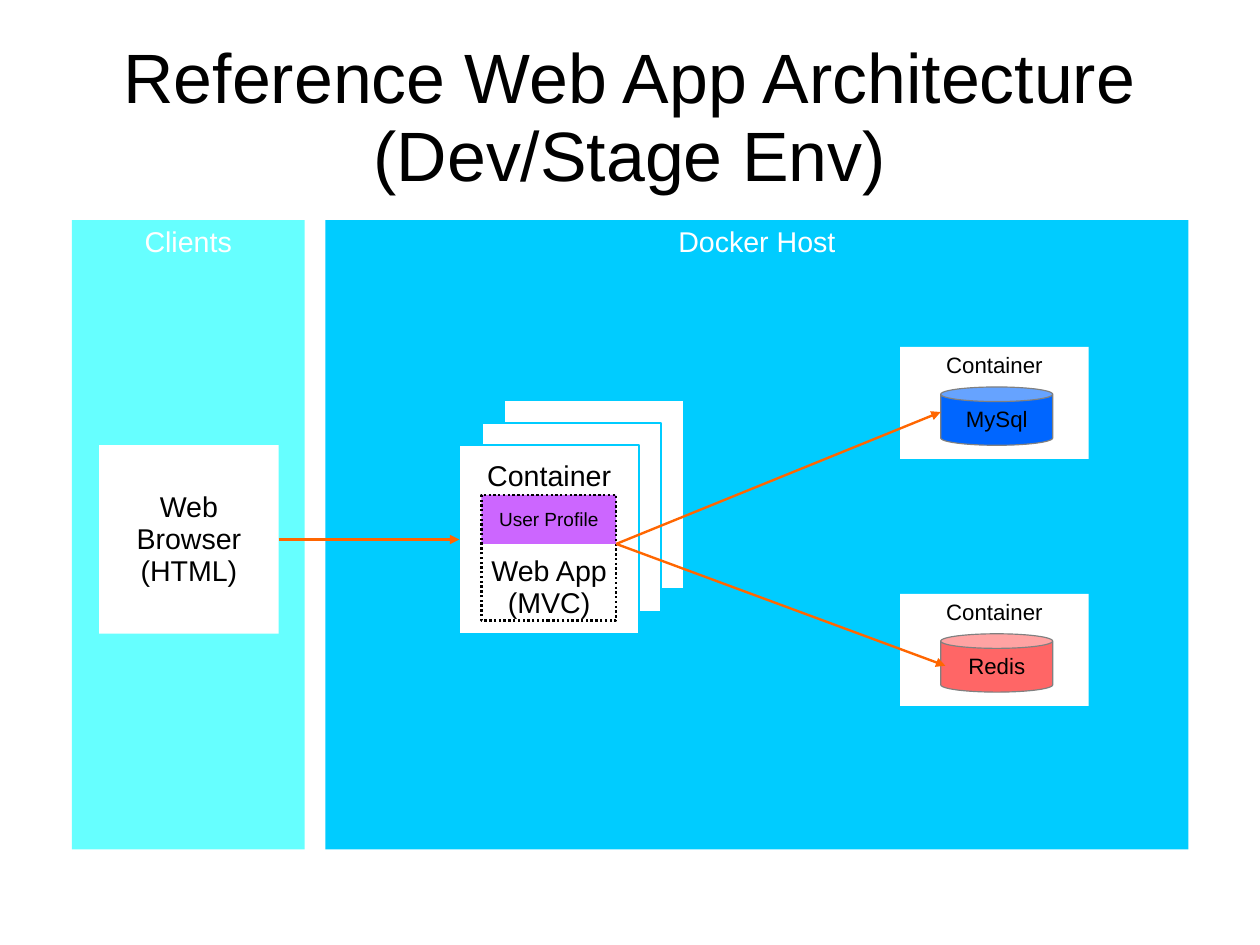
from lxml import etree
from pptx import Presentation
from pptx.dml.color import RGBColor
from pptx.enum.dml import MSO_LINE
from pptx.enum.shapes import MSO_CONNECTOR, MSO_SHAPE
from pptx.enum.text import MSO_ANCHOR, PP_ALIGN
from pptx.oxml.ns import qn
from pptx.util import Cm, Inches, Pt

RECT, CAN = MSO_SHAPE.RECTANGLE, MSO_SHAPE.CAN
TOP, MIDDLE = MSO_ANCHOR.TOP, MSO_ANCHOR.MIDDLE
CENTER = PP_ALIGN.CENTER
DOTTED = MSO_LINE.ROUND_DOT
STRAIGHT = MSO_CONNECTOR.STRAIGHT
RIGHT_SIDE, LEFT_SIDE = 3, 1

WHITE = RGBColor(0xFF, 0xFF, 0xFF)
BLACK = RGBColor(0, 0, 0)
SKY = RGBColor(0x00, 0xCC, 0xFF)
AQUA = RGBColor(0x66, 0xFF, 0xFF)
PURPLE = RGBColor(0xCC, 0x66, 0xFF)
BLUE = RGBColor(0x00, 0x66, 0xFF)
RED = RGBColor(0xFF, 0x66, 0x66)
GRAY = RGBColor(0x80, 0x80, 0x80)
ORANGE = RGBColor(0xFF, 0x66, 0x00)

prs = Presentation()
prs.slide_width, prs.slide_height = Cm(28), Cm(21)
W, H = prs.slide_width / 100, prs.slide_height / 100
slide = prs.slides.add_slide(prs.slide_layouts[6])
shapes = slide.shapes


def write(sp, lines, size, color=BLACK, anchor=MIDDLE, wrap=True, margins=(0.1, 0.06, 0.1, 0.05)):
    """Put centred lines of text in a shape and return its paragraphs."""
    tf = sp.text_frame
    left, top, right, bottom = map(Inches, margins)
    frame = {"word_wrap": wrap, "vertical_anchor": anchor, "margin_left": left,
             "margin_top": top, "margin_right": right, "margin_bottom": bottom}
    for name, value in frame.items():
        setattr(tf, name, value)
    for i, line in enumerate(lines):
        p = tf.paragraphs[0] if i == 0 else tf.add_paragraph()
        p.alignment, p.line_spacing = CENTER, 0.93
        r = p.add_run()
        r.text = line
        for name, value in {"name": "Arial", "size": Pt(size)}.items():
            setattr(r.font, name, value)
        r.font.color.rgb = color
    return tf.paragraphs


def box(x, y, w, h, fill=None, line=None, weight=1, kind=RECT):
    """Add a shape placed in percent of the slide's width and height."""
    sp = shapes.add_shape(kind, int(x * W), int(y * H), int(w * W), int(h * H))
    sp.shadow.inherit = False
    if fill is None:
        sp.fill.background()
    else:
        sp.fill.solid()
        sp.fill.fore_color.rgb = fill
    if line is None:
        sp.line.fill.background()
    else:
        sp.line.color.rgb = line
        sp.line.width = Pt(weight)
    return sp


# Title and the two zones
title = shapes.add_textbox(int(4.99 * W), int(3.99 * H), int(90.02 * W), int(16.69 * H))
write(title, ["Reference Web App Architecture (Dev/Stage Env)"], 44, margins=(0, 0.04, 0, 0))
for name, x, w, fill in [("Docker Host", 25.82, 68.5, SKY), ("Clients", 5.7, 18.48, AQUA)]:
    write(box(x, 23.3, w, 66.6, fill), [name], 18, WHITE, TOP)

# Browser and the stack of web app containers, back to front
NODE_Y, NODE_W, NODE_H = 47.12, 14.25, 19.95
browser = box(7.87, NODE_Y, NODE_W, NODE_H, WHITE)
write(browser, ["Web Browser", "(HTML)"], 18)
for depth in (2, 1, 0):
    web = box(36.46 + 1.78 * depth, NODE_Y - 2.36 * depth, NODE_W, NODE_H, WHITE, SKY)
paragraphs = write(web, ["Container", "Web App", "(MVC)"], 18)
paragraphs[1].space_before = Pt(40)

APP_X, APP_Y, APP_W, PROFILE_H = 38.2, 52.36, 10.71, 5.2
write(box(APP_X, APP_Y, APP_W, PROFILE_H, PURPLE), ["User Profile"], 12)
box(APP_X, APP_Y, APP_W, 13.3, line=BLACK, weight=1.5).line.dash_style = DOTTED

# Data store containers
for name, y, fill in [("MySql", 36.72, BLUE), ("Redis", 62.84, RED)]:
    write(box(71.44, y, 14.97, 11.85, WHITE), ["Container"], 14, anchor=TOP)
    can = box(74.66, y + 4.23, 8.89, 6.17, fill, GRAY, 0.75, CAN)
    write(can, [name], 14, wrap=False)

# Arrows: browser to web app, then web app to each data store
app_right, profile_bottom = APP_X + APP_W, APP_Y + PROFILE_H
node_middle = NODE_Y + NODE_H / 2
arrows = []
for x1, y1, x2, y2 in [(22.12, node_middle, 36.46, node_middle),
                       (app_right, profile_bottom, 74.66, 43.6),
                       (app_right, profile_bottom, 75.03, 70.45)]:
    arrow = shapes.add_connector(STRAIGHT, int(x1 * W), int(y1 * H), int(x2 * W), int(y2 * H))
    arrow.line.color.rgb = ORANGE
    arrow.line.width = Pt(1.5)
    properties = arrow._element.spPr
    etree.SubElement(properties.find(qn("a:ln")), qn("a:tailEnd"), type="triangle")
    etree.SubElement(properties, qn("a:effectLst"))
    arrows.append(arrow)
arrows[0].begin_connect(browser, RIGHT_SIDE)
arrows[0].end_connect(web, LEFT_SIDE)

prs.save("out.pptx")
